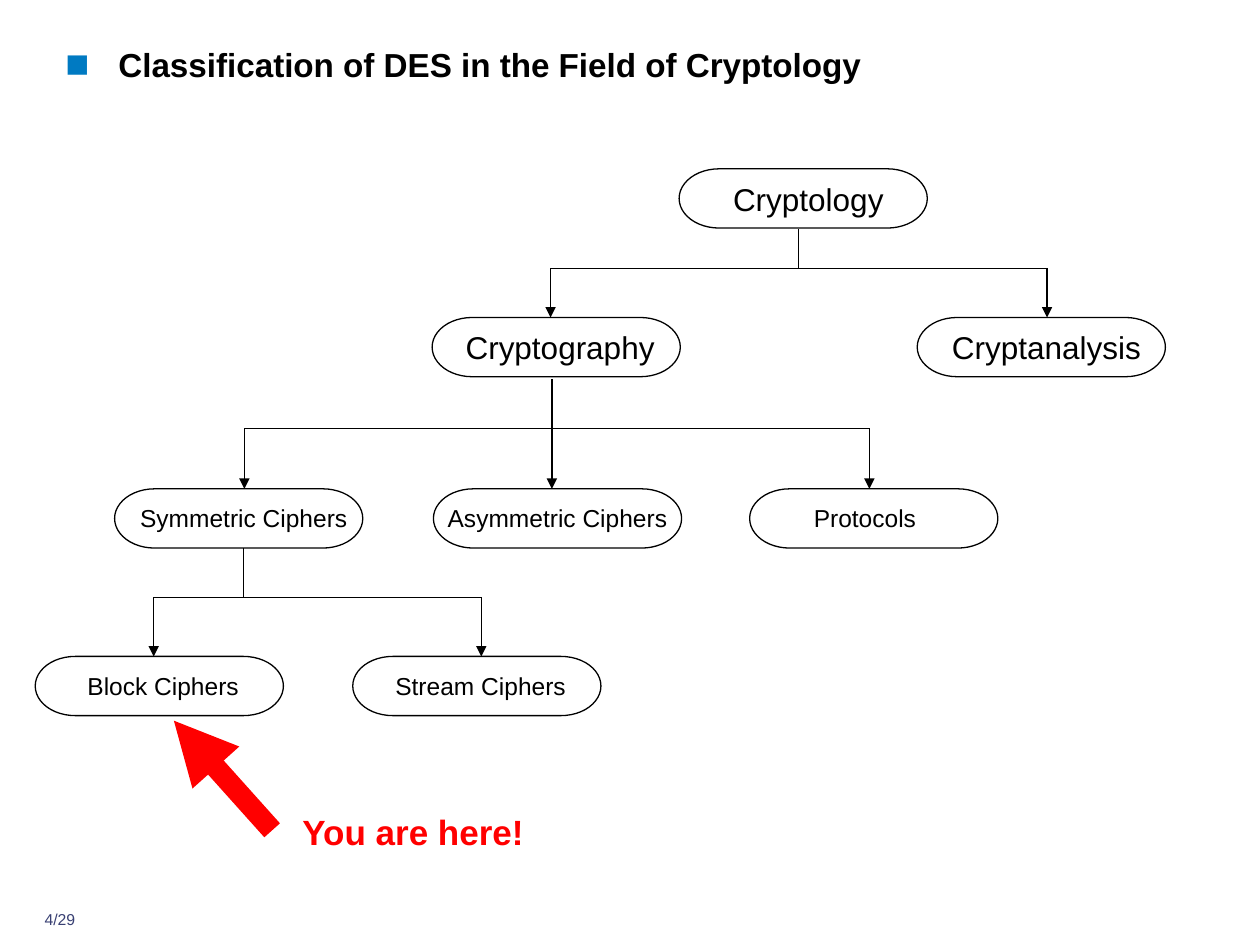
from lxml import etree
from pptx import Presentation
from pptx.dml.color import RGBColor
from pptx.enum.shapes import MSO_CONNECTOR, MSO_SHAPE
from pptx.enum.text import PP_ALIGN
from pptx.oxml.ns import qn
from pptx.util import Inches, Pt

BLACK = RGBColor(0x00, 0x00, 0x00)
RED = RGBColor(0xFF, 0x00, 0x00)
NAVY = RGBColor(0x39, 0x40, 0x73)
BULLET_BLUE = RGBColor(0x00, 0x7A, 0xC2)
TERMINATOR = MSO_SHAPE.FLOWCHART_TERMINATOR
STRAIGHT = MSO_CONNECTOR.STRAIGHT
CENTER, LEFT = PP_ALIGN.CENTER, PP_ALIGN.LEFT

FONT = "Arial"
NODE_WIDTH, NODE_HEIGHT = 1.97, 0.47
LABEL_WIDTH = 1.89

# Each tier: node top, font size, label height, nodes as (text, left, label shift)
TIERS = [
    (1.34, 18, 0.30, [("Cryptology", 5.39, 0.08)]),
    (2.52, 18, 0.30, [("Cryptography", 3.43, 0.07), ("Cryptanalysis", 7.28, 0.08)]),
    (3.88, 14, 0.24, [("Symmetric Ciphers", 0.91, 0.08),
                      ("Asymmetric Ciphers", 3.44, 0.04),
                      ("Protocols", 5.95, -0.03)]),
    (5.21, 14, 0.24, [("Block Ciphers", 0.28, 0.07), ("Stream Ciphers", 2.80, 0.07)]),
]
# Each branch: stem x, stem top, crossbar y, arrow bottom, arrow x positions
BRANCHES = [
    (6.34, 1.82, 2.13, 2.52, [4.37, 8.31]),
    (4.38, 3.01, 3.40, 3.88, [1.94, 4.38, 6.90]),
    (1.93, 4.35, 4.74, 5.21, [1.22, 3.82]),
]


def add_text(slide, text, box, size, color, bold=False, alignment=LEFT, wrap=True):
    shape = slide.shapes.add_textbox(*(Inches(value) for value in box))
    frame = shape.text_frame
    frame.word_wrap = wrap
    frame.margin_left = frame.margin_right = frame.margin_top = frame.margin_bottom = 0
    paragraph = frame.paragraphs[0]
    paragraph.text = text
    paragraph.alignment = alignment
    paragraph.font.name = FONT
    paragraph.font.size = Pt(size)
    paragraph.font.bold = bold
    paragraph.font.color.rgb = color
    return paragraph


def add_line(slide, start, end, color=BLACK, width=0.75, arrow=False):
    points = [Inches(value) for value in (*start, *end)]
    connector = slide.shapes.add_connector(STRAIGHT, *points)
    connector.line.color.rgb = color
    connector.line.width = Pt(width)
    if arrow:
        line = connector.line._get_or_add_ln()
        etree.SubElement(line, qn("a:tailEnd"), type="triangle")
    etree.SubElement(connector._element.spPr, qn("a:effectLst"))


def add_title(slide, box):
    paragraph = add_text(slide, "Classification of DES in the Field of Cryptology",
                         box, 19, BLACK, bold=True)
    properties = paragraph._p.get_or_add_pPr()
    properties.set("marL", str(Inches(0.42)))
    properties.set("indent", str(Inches(-0.42)))
    # Bullet elements come before the default run properties
    bullet_color = etree.Element(qn("a:buClr"))
    etree.SubElement(bullet_color, qn("a:srgbClr"), val=str(BULLET_BLUE))
    bullet_parts = [
        bullet_color,
        etree.Element(qn("a:buSzPct"), val="120000"),
        etree.Element(qn("a:buFont"), typeface=FONT),
        etree.Element(qn("a:buChar"), char="■"),
    ]
    for position, part in enumerate(bullet_parts):
        properties.insert(position, part)


def add_node(slide, text, box, label_shift, size, label_height):
    left, top, width, height = box
    shape = slide.shapes.add_shape(TERMINATOR, *(Inches(value) for value in box))
    shape.shadow.inherit = False
    shape.fill.background()
    shape.line.color.rgb = BLACK
    shape.line.width = Pt(0.75)
    label_top = top + (height - label_height) / 2
    add_text(slide, text, (left + label_shift, label_top, LABEL_WIDTH, label_height),
             size, BLACK, alignment=CENTER)


def add_branch(slide, stem_x, stem_top, bar_y, bottom, arrow_positions):
    add_line(slide, (stem_x, stem_top), (stem_x, bar_y))
    add_line(slide, (arrow_positions[0], bar_y), (arrow_positions[-1], bar_y))
    for x in arrow_positions:
        add_line(slide, (x, bar_y), (x, bottom), arrow=True)


def add_tree(slide):
    for top, size, label_height, nodes in TIERS:
        for text, left, label_shift in nodes:
            add_node(slide, text, (left, top, NODE_WIDTH, NODE_HEIGHT),
                     label_shift, size, label_height)
    for branch in BRANCHES:
        add_branch(slide, *branch)


def add_marker(slide, box):
    left, top = box[:2]
    add_line(slide, (left - 0.24, top + 0.16), (left - 1.02, top - 0.71),
             RED, 12, arrow=True)
    add_text(slide, "You are here!", box, 20, RED, bold=True, wrap=False)


def main():
    presentation = Presentation()
    presentation.slide_width = Inches(10)
    presentation.slide_height = Inches(7.5)
    slide = presentation.slides.add_slide(presentation.slide_layouts[6])

    add_title(slide, (0.52, 0.35, 7.07, 0.56))
    add_tree(slide)
    add_marker(slide, (2.40, 6.43, 1.77, 0.33))
    # Page number
    add_text(slide, "4/29", (0.20, 7.22, 0.55, 0.24), 9, NAVY, alignment=CENTER)

    presentation.save("out.pptx")


if __name__ == "__main__":
    main()
